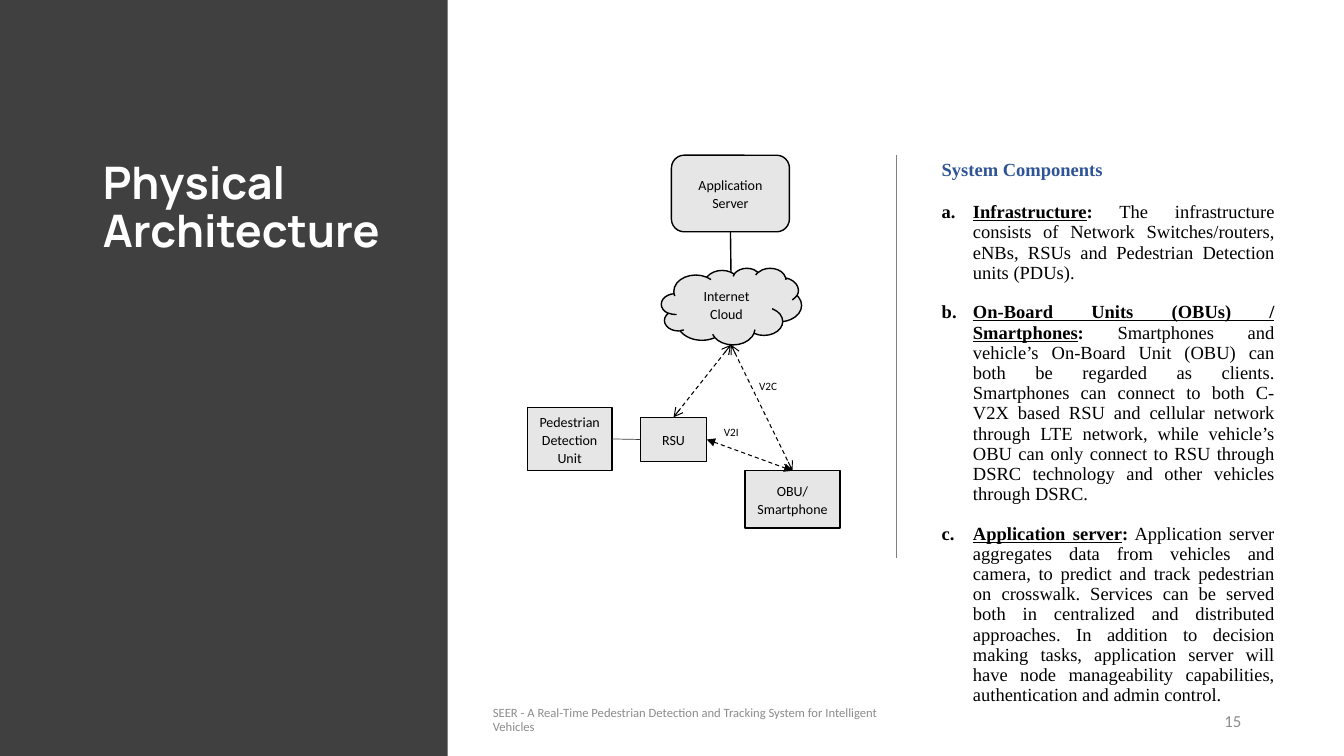
from dataclasses import dataclass

from lxml import etree
from pptx import Presentation
from pptx.dml.color import RGBColor
from pptx.enum.dml import MSO_LINE
from pptx.enum.shapes import MSO_CONNECTOR, MSO_SHAPE
from pptx.enum.text import MSO_ANCHOR, MSO_AUTO_SIZE, PP_ALIGN
from pptx.oxml.ns import qn
from pptx.util import Inches, Pt

RECT, ROUNDED, CLOUD = MSO_SHAPE.RECTANGLE, MSO_SHAPE.ROUNDED_RECTANGLE, MSO_SHAPE.CLOUD
LEFT, CENTER, RIGHT, JUSTIFY = PP_ALIGN.LEFT, PP_ALIGN.CENTER, PP_ALIGN.RIGHT, PP_ALIGN.JUSTIFY
TOP, MIDDLE = MSO_ANCHOR.TOP, MSO_ANCHOR.MIDDLE
SIDE_TOP, SIDE_LEFT, SIDE_BOTTOM, SIDE_RIGHT = range(4)
BLACK, WHITE, GREY = "000000", "FFFFFF", "8C8C8C"
SANS, SERIF, DISPLAY = "Calibri", "Times New Roman", "Manrope"
BODY_SIZE, BODY_SPACING = 13.2, 0.91


@dataclass
class Node:
    text: str
    left: float
    top: float
    width: float
    height: float
    kind: int = RECT


@dataclass
class Joint:
    node: str
    side: int


@dataclass
class Point:
    x: float
    y: float


@dataclass
class Link:
    start: Joint | Point
    end: Joint | Point
    color: str = BLACK
    weight: float = 1
    arrow: str = ""


@dataclass
class Label:
    text: str
    left: float
    top: float
    width: float
    height: float
    size: float
    color: str
    align: int = LEFT
    anchor: int = TOP
    spacing: float = 1


@dataclass
class Component:
    name: str
    mark: str
    description: str
    space_before: float


NODES = {
    "server": Node("Application Server", 6.66, 1.54, 1.17, 0.76, ROUNDED),
    "cloud": Node("Internet Cloud", 6.56, 2.66, 1.39, 0.76, CLOUD),
    "rsu": Node("RSU", 6.35, 4.14, 0.66, 0.44),
    "obu": Node("OBU/\vSmartphone", 7.39, 4.67, 0.94, 0.57),
    "pdu": Node("Pedestrian Detection Unit", 5.23, 4.04, 0.84, 0.63),
}
CLOUD_BASE = Point(7.25, 3.42)
LINKS = [
    Link(Point(8.89, 1.54), Point(8.89, 5.54), "808080"),
    Link(Joint("server", SIDE_BOTTOM), Point(7.25, 2.71)),
    Link(CLOUD_BASE, Joint("rsu", SIDE_TOP), weight=0.75, arrow="arrow"),
    Link(CLOUD_BASE, Joint("obu", SIDE_TOP), weight=0.75, arrow="arrow"),
    Link(Joint("rsu", SIDE_RIGHT), Joint("obu", SIDE_TOP), weight=0.75, arrow="triangle"),
    Link(Joint("pdu", SIDE_RIGHT), Joint("rsu", SIDE_LEFT), "3F3F3F", 0.5),
]
LABELS = [
    Label("V2I", 7.08, 4.17, 0.48, 0.38, 8, BLACK),
    Label("V2C", 7.43, 3.71, 0.52, 0.38, 8, BLACK),
    Label("SEER - A Real-Time Pedestrian Detection and Tracking System for Intelligent Vehicles",
          4.79, 6.95, 4.44, 0.4, 9, GREY, anchor=MIDDLE, spacing=0.9),
    Label("15", 10.06, 6.95, 2.35, 0.4, 12, GREY, RIGHT, MIDDLE),
]
COMPONENTS = [
    Component("Infrastructure", ": ",
              "The infrastructure consists of Network Switches/routers, eNBs, RSUs and "
              "Pedestrian Detection units (PDUs).", 15.8),
    Component("On-Board Units (OBUs) / Smartphones", ": ",
              "Smartphones and vehicle’s On-Board Unit (OBU) can both be regarded as clients. "
              "Smartphones can connect to both C-V2X based RSU and cellular network through LTE "
              "network, while vehicle’s OBU can only connect to RSU through DSRC technology and "
              "other vehicles through DSRC.", 13.8),
    Component("Application server", ":",
              " Application server aggregates data from vehicles and camera, to predict and track "
              "pedestrian on crosswalk. Services can be served both in centralized and distributed "
              "approaches. In addition to decision making tasks, application server will have node "
              "manageability capabilities, authentication and admin control.", 13.8),
]


def rgb(color: str) -> RGBColor:
    return RGBColor.from_string(color)


def place(shape, left: float, top: float, width: float, height: float) -> None:
    shape.left, shape.top = Inches(left), Inches(top)
    shape.width, shape.height = Inches(width), Inches(height)


def style(paragraph, font: str, size: float, color: str, align: int, spacing: float) -> None:
    paragraph.alignment, paragraph.line_spacing = align, spacing
    paragraph.font.name, paragraph.font.size = font, Pt(size)
    paragraph.font.color.rgb = rgb(color)


def prepare(frame, anchor: int) -> None:
    frame.word_wrap, frame.auto_size = True, MSO_AUTO_SIZE.NONE
    frame.vertical_anchor = anchor


def set_bullet(paragraph, indent: float, numbering: str = "") -> None:
    """Hang the paragraph by the indent, numbered or without any mark."""
    properties = paragraph._p.get_or_add_pPr()
    properties.set("marL", str(Inches(indent)))
    properties.set("indent", str(-Inches(indent)))
    if numbering:
        etree.SubElement(properties, qn("a:buFont"), typeface="+mj-lt")
        etree.SubElement(properties, qn("a:buAutoNum"), type=numbering)
    else:
        etree.SubElement(properties, qn("a:buNone"))


def add_node(shapes, node: Node):
    shape = shapes.add_shape(node.kind, 0, 0, 0, 0)
    place(shape, node.left, node.top, node.width, node.height)
    shape.shadow.inherit = False
    shape.fill.solid()
    shape.fill.fore_color.rgb = rgb("E7E6E6")
    shape.line.color.rgb, shape.line.width = rgb(BLACK), Pt(1)
    prepare(shape.text_frame, MIDDLE)
    shape.text_frame.text = node.text
    style(shape.text_frame.paragraphs[0], SANS, 10, BLACK, CENTER, 1.07)
    return shape


def add_link(shapes, link: Link, drawn: dict) -> None:
    line = shapes.add_connector(MSO_CONNECTOR.STRAIGHT, 0, 0, 0, 0)
    if isinstance(link.start, Point):
        line.begin_x, line.begin_y = Inches(link.start.x), Inches(link.start.y)
    else:
        line.begin_connect(drawn[link.start.node], link.start.side)
    if isinstance(link.end, Point):
        line.end_x, line.end_y = Inches(link.end.x), Inches(link.end.y)
    else:
        line.end_connect(drawn[link.end.node], link.end.side)
    line.line.color.rgb, line.line.width = rgb(link.color), Pt(link.weight)
    if link.arrow:
        line.line.dash_style = MSO_LINE.DASH
        for tag in ("a:headEnd", "a:tailEnd"):
            etree.SubElement(line.line._get_or_add_ln(), qn(tag), type=link.arrow)
    etree.SubElement(line.element.spPr, qn("a:effectLst"))


def add_label(shapes, label: Label) -> None:
    box = shapes.add_textbox(0, 0, 0, 0)
    place(box, label.left, label.top, label.width, label.height)
    prepare(box.text_frame, label.anchor)
    box.text_frame.text = label.text
    style(box.text_frame.paragraphs[0], SANS, label.size, label.color, label.align, label.spacing)


def fill_components(body) -> None:
    place(body, 9.24, 1.54, 3.5, 5.46)
    prepare(body.text_frame, TOP)
    heading = body.text_frame.paragraphs[0]
    heading.text = "System Components"
    set_bullet(heading, 0)
    style(heading, SERIF, BODY_SIZE, "2F5496", LEFT, BODY_SPACING)
    heading.font.bold, heading.space_before = True, Pt(0)
    for component in COMPONENTS:
        item = body.text_frame.add_paragraph()
        set_bullet(item, 0.31, "alphaLcPeriod")
        style(item, SERIF, BODY_SIZE, BLACK, JUSTIFY, BODY_SPACING)
        item.space_before = Pt(component.space_before)
        for text, bold, underline in ((component.name, True, True), (component.mark, True, False),
                                      (component.description, False, False)):
            run = item.add_run()
            run.text, run.font.bold, run.font.underline = text, bold, underline


def main() -> None:
    deck = Presentation()
    deck.slide_width, deck.slide_height = Inches(13.33), Inches(7.5)
    slide = deck.slides.add_slide(deck.slide_layouts[1])
    shapes, title = slide.shapes, slide.shapes.title

    panel = shapes.add_shape(RECT, 0, 0, Inches(4.44), Inches(7.5))
    panel.shadow.inherit = False
    panel.fill.solid()
    panel.fill.fore_color.rgb = rgb("404040")
    panel.line.fill.background()
    title.element.addprevious(panel.element)

    place(title, 0.92, 1.54, 3.17, 4.77)
    prepare(title.text_frame, TOP)
    title.text_frame.text = "Physical Architecture"
    style(title.text_frame.paragraphs[0], DISPLAY, 32, WHITE, LEFT, 0.9)
    title.text_frame.paragraphs[0].font.bold = True

    fill_components(slide.placeholders[1])
    drawn = {name: add_node(shapes, node) for name, node in NODES.items()}
    for link in LINKS:
        add_link(shapes, link, drawn)
    for label in LABELS:
        add_label(shapes, label)
    deck.save("out.pptx")


if __name__ == "__main__":
    main()
